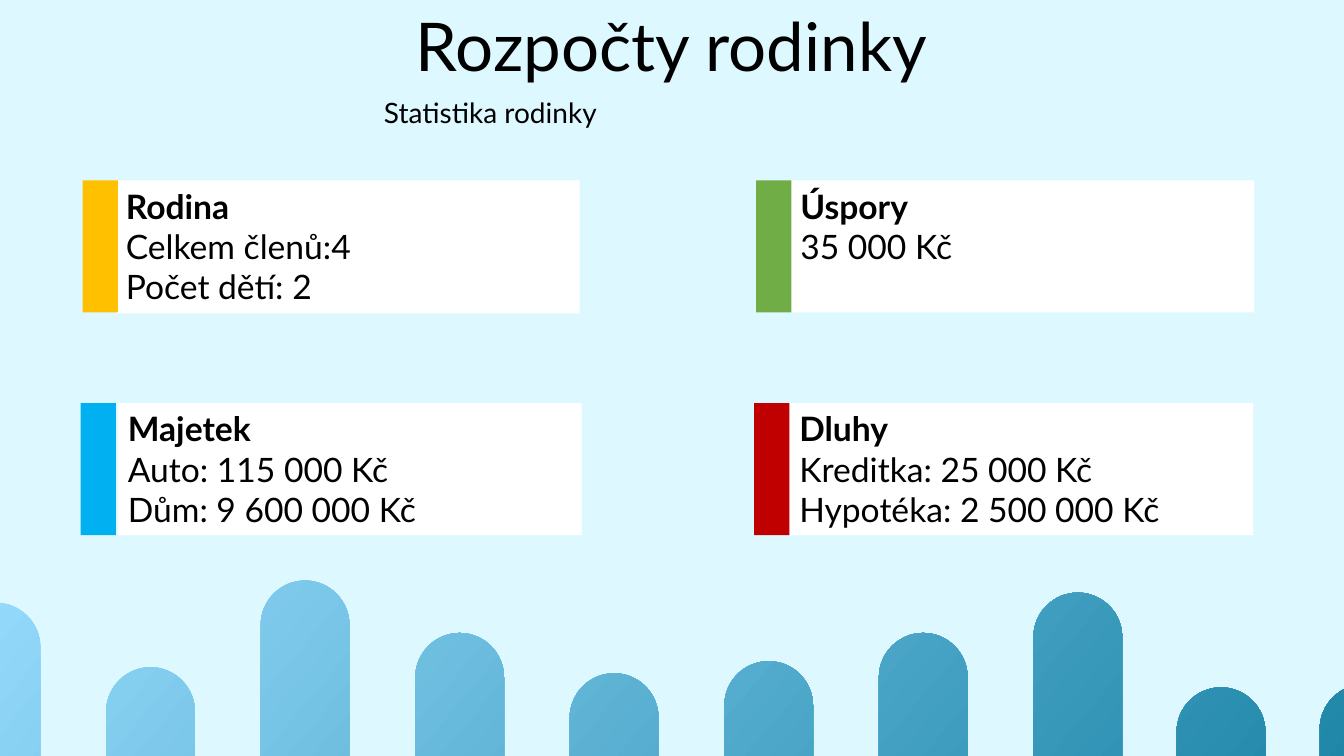
from dataclasses import dataclass

from lxml.etree import SubElement
from pptx import Presentation
from pptx.dml.color import RGBColor
from pptx.enum.shapes import MSO_SHAPE as Preset
from pptx.enum.text import MSO_ANCHOR as Anchor, MSO_AUTO_SIZE as AutoSize, PP_ALIGN as Align
from pptx.oxml.ns import qn
from pptx.util import Inches, Pt

TITLE = "Rozpočty rodinky"
SUBTITLE = "Statistika rodinky"
CARDS = [
    {"row": 0, "column": 0, "accent": "FFC000", "tab_shift": 0.02, "panel_shift": 0,
     "height": 1.32, "paragraphs": [["Rodina", "Celkem členů:4", "Počet dětí: 2"]]},
    {"row": 0, "column": 1, "accent": "70AD47", "tab_shift": 0.02, "panel_shift": 0.01,
     "height": 1.31, "paragraphs": [["Úspory"], ["35 000 Kč"]]},
    {"row": 1, "column": 0, "accent": "00B0F0", "tab_shift": 0, "panel_shift": 0.02,
     "height": 1.31, "paragraphs": [["Majetek"], ["Auto: 115 000 Kč"], ["Dům: 9 600 000 Kč"]]},
    {"row": 1, "column": 1, "accent": "C00000", "tab_shift": 0, "panel_shift": 0,
     "height": 1.31,
     "paragraphs": [["Dluhy"], ["Kreditka: 25 000 Kč"], ["Hypotéka: 2 500 000 Kč"]]},
]
PILLARS = [(5.98, 4.54), (6.62, 3.46), (5.76, 3.73), (6.28, 3.46), (6.68, 3.46),
           (6.56, 3.46), (6.28, 3.46), (5.88, 3.46), (6.82, 3.46), (6.79, 4.54)]


@dataclass(frozen=True)
class Theme:
    font: str = "Lato"
    ink: str = "000000"
    paper: str = "DDF9FF"
    panel: str = "FFFFFF"
    pillar_light: str = "98DCFE"
    pillar_dark: str = "0F7B9D"
    title_size: int = 48
    subtitle_size: int = 20
    card_size: int = 24


THEME = Theme()
SLIDE_W, SLIDE_H = 13.33, 7.5
COLUMN_LEFT, COLUMN_STEP = 0.8, 6.68
ROW_TOP, ROW_STEP = 1.79, 2.21
TAB_H, TAB_W, PANEL_W = 1.31, 0.35, 4.6
HEADING_LEFT, TITLE_W, TITLE_H = 3.71, 5.9, 0.9
SUBTITLE_W, SUBTITLE_H = 6.29, 0.44
PILLAR_FIRST, PILLAR_LAST, LATE_STEP, LATE_FROM = -0.04, 10.69, 1.42, 7
PILLAR_STEP = (PILLAR_LAST - PILLAR_FIRST) / LATE_FROM
PILLAR_RADIUS, UNITS_PER_INCH, ARC_PULL = 0.44, 1000, 0.55


def color(code):
    return RGBColor.from_string(code)


def write(paragraph, words, size, bold=False):
    run = paragraph.add_run()
    run.text = words
    run.font.name = THEME.font
    run.font.size = Pt(size)
    run.font.bold = bold
    run.font.color.rgb = color(THEME.ink)


def add_block(slide, left, top, width, height, fill):
    block = slide.shapes.add_shape(
        Preset.RECTANGLE, *map(Inches, (left, top, width, height)))
    block.shadow.inherit = False
    block.fill.solid()
    block.fill.fore_color.rgb = color(fill)
    block.line.fill.background()
    return block


def card_corner(card):
    return (COLUMN_LEFT + card["column"] * COLUMN_STEP, ROW_TOP + card["row"] * ROW_STEP)


def add_panel(slide, card):
    left, top = card_corner(card)
    panel = add_block(slide, left + TAB_W + card["panel_shift"], top,
                      PANEL_W, card["height"], THEME.panel)
    frame = panel.text_frame
    frame.word_wrap = True
    frame.vertical_anchor = Anchor.TOP
    for index, lines in enumerate(card["paragraphs"]):
        paragraph = frame.add_paragraph() if index else frame.paragraphs[0]
        paragraph.alignment = Align.LEFT
        for position, line in enumerate(lines):
            if position:
                paragraph.add_line_break()
            write(paragraph, line, THEME.card_size, bold=index + position == 0)


def add_tab(slide, card):
    left, top = card_corner(card)
    add_block(slide, left + card["tab_shift"], top, TAB_W, TAB_H, card["accent"])


def set_title(slide):
    title = slide.shapes.title
    title.left, title.top, title.width, title.height = map(
        Inches, (HEADING_LEFT, 0, TITLE_W, TITLE_H))
    frame = title.text_frame
    frame.word_wrap = True
    frame.auto_size = AutoSize.NONE
    frame.vertical_anchor = Anchor.BOTTOM
    paragraph = frame.paragraphs[0]
    paragraph.alignment = Align.CENTER
    paragraph.line_spacing = 0.9
    write(paragraph, TITLE, THEME.title_size)


def add_subtitle(slide):
    subtitle = slide.shapes.add_textbox(
        *map(Inches, (HEADING_LEFT, TITLE_H, SUBTITLE_W, SUBTITLE_H)))
    frame = subtitle.text_frame
    frame.word_wrap = True
    frame.auto_size = AutoSize.SHAPE_TO_FIT_TEXT
    write(frame.paragraphs[0], SUBTITLE, THEME.subtitle_size)


def pillar_outline(index, top, height):
    center = (PILLAR_FIRST + min(index, LATE_FROM) * PILLAR_STEP
              + max(index - LATE_FROM, 0) * LATE_STEP)
    left, right = center - PILLAR_RADIUS, center + PILLAR_RADIUS
    bottom = top + height
    upper, lower = top + PILLAR_RADIUS, bottom - PILLAR_RADIUS
    corners = [(center, top), (right, upper), (right, lower), (center, bottom),
               (left, lower), (left, upper), (center, top)]
    return [(x * UNITS_PER_INCH, y * UNITS_PER_INCH) for x, y in corners]


def round_ends(pillars):
    for index, move in enumerate(list(pillars.element.iter(qn("a:moveTo")))):
        spots = [move]
        while len(spots) < 7:
            spots.append(spots[-1].getnext())
        points = [(int(spot[0].get("x")), int(spot[0].get("y"))) for spot in spots]
        for end in (1, 3, 4, 6):
            (x0, y0), (x1, y1) = points[end - 1], points[end]
            corner_x, corner_y = (x1, y0) if end in (1, 4) else (x0, y1)
            spots[end].tag = qn("a:cubicBezTo")
            spots[end].remove(spots[end][0])
            controls = [(x + (corner_x - x) * ARC_PULL, y + (corner_y - y) * ARC_PULL)
                        for x, y in ((x0, y0), (x1, y1))]
            for x, y in controls + [(x1, y1)]:
                SubElement(spots[end], qn("a:pt"), x=str(round(x)), y=str(round(y)))


def add_pillars(slide):
    outlines = [pillar_outline(index, *pillar) for index, pillar in enumerate(PILLARS)]
    builder = slide.shapes.build_freeform(*outlines[0][0], scale=Inches(1) / UNITS_PER_INCH)
    for index, outline in enumerate(outlines):
        if index:
            builder.move_to(*outline[0])
        builder.add_line_segments(outline[1:], close=True)
    pillars = builder.convert_to_shape()
    round_ends(pillars)
    pillars.shadow.inherit = False
    pillars.line.fill.background()
    pillars.fill.gradient()
    pillars.fill.gradient_angle = 320
    shades = ((0, THEME.pillar_light), (0.91, THEME.pillar_dark))
    for stop, (position, shade) in zip(pillars.fill.gradient_stops, shades):
        stop.position = position
        stop.color.rgb = color(shade)


def main():
    deck = Presentation()
    deck.slide_width, deck.slide_height = Inches(SLIDE_W), Inches(SLIDE_H)
    slide = deck.slides.add_slide(deck.slide_layouts[0])
    slide.background.fill.solid()
    slide.background.fill.fore_color.rgb = color(THEME.paper)
    unused = slide.placeholders[1].element
    unused.getparent().remove(unused)
    set_title(slide)
    for card in CARDS:
        add_panel(slide, card)
    add_pillars(slide)
    add_subtitle(slide)
    for card in CARDS:
        add_tab(slide, card)
    deck.save("out.pptx")


if __name__ == "__main__":
    main()
